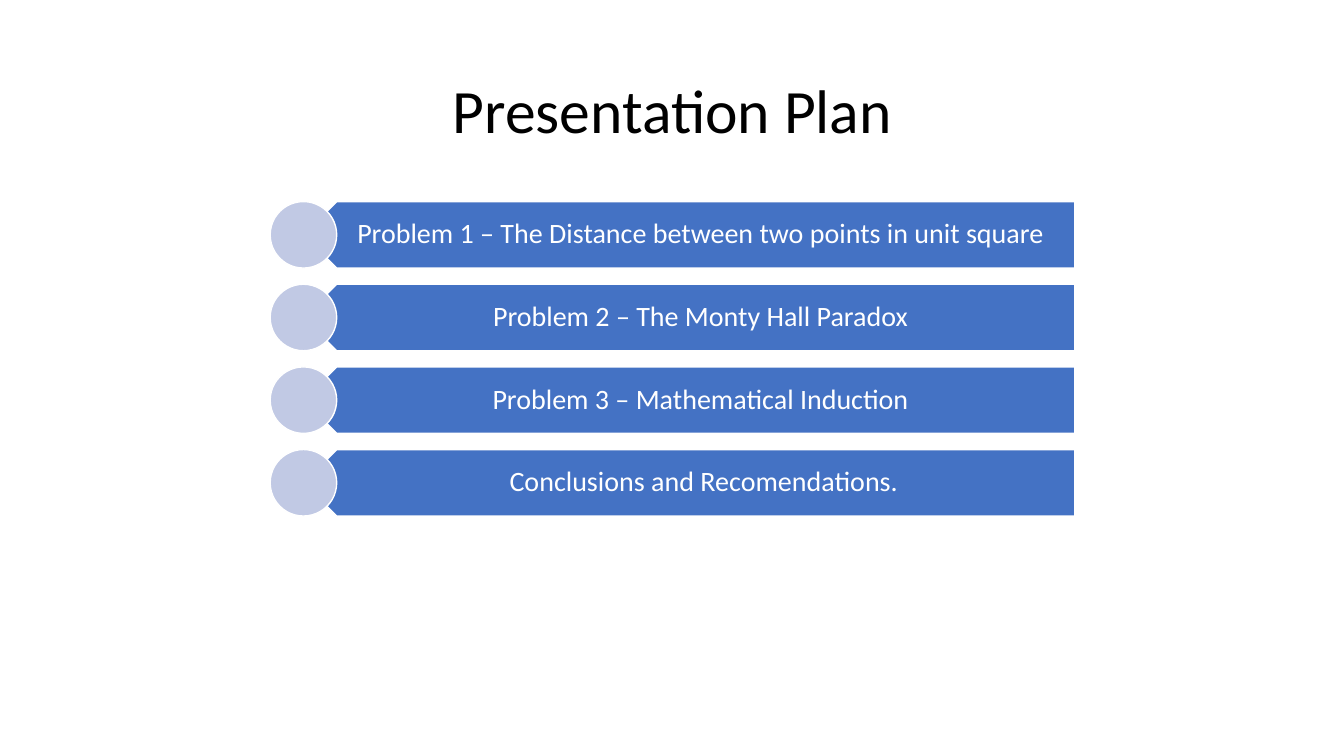
from pptx import Presentation
from pptx.dml.color import RGBColor
from pptx.enum.shapes import MSO_SHAPE as Shape
from pptx.enum.text import MSO_ANCHOR as Anchor, PP_ALIGN as Align
from pptx.util import Inches, Pt

COLORS = {"bar": "4472C4", "dot": "C1C9E4", "white": "FFFFFF", "title": "000000"}
FONT = "Calibri"
TOPICS = [
    "Problem 1 – The Distance between two points in unit square ",
    "Problem 2 – The Monty Hall Paradox ",
    "Problem 3 – Mathematical Induction ",
    "Conclusions and Recomendations.",
]

# Row grid, in inches
FIRST_TOP, ROW_STEP, ROW_HEIGHT = 2.0, 0.82, 0.66
DOT_LEFT, BAR_LEFT, LABEL_LEFT, RIGHT = 2.68, 3.01, 3.17, 10.66


def color(name):
    return RGBColor.from_string(COLORS[name])


def write(frame, text, size, color_name):
    frame.word_wrap = True
    frame.vertical_anchor = Anchor.MIDDLE
    para = frame.paragraphs[0]
    para.text = text
    para.alignment = Align.CENTER
    para.line_spacing = 0.9
    para.font.name = FONT
    para.font.size = Pt(size)
    para.font.color.rgb = color(color_name)


def add_title(page, text):
    title = page.shapes.title
    title.left, title.top = Inches(0.92), Inches(0.4)
    title.width, title.height = Inches(11.5), Inches(1.45)
    write(title.text_frame, text, 44, "title")


def add_outlined(page, kind, left, top, width, fill):
    shape = page.shapes.add_shape(
        kind, Inches(left), Inches(top), Inches(width), Inches(ROW_HEIGHT))
    shape.shadow.inherit = False
    shape.fill.solid()
    shape.fill.fore_color.rgb = color(fill)
    shape.line.color.rgb = color("white")
    shape.line.width = Pt(1)
    return shape


def add_label(page, text, top):
    box = page.shapes.add_textbox(
        Inches(LABEL_LEFT), Inches(top), Inches(RIGHT - LABEL_LEFT), Inches(ROW_HEIGHT))
    frame = box.text_frame
    frame.margin_left, frame.margin_right = Inches(0.29), Inches(0.16)
    frame.margin_top = frame.margin_bottom = Inches(0.08)
    write(frame, text, 20, "white")


def add_topic(page, text, row):
    top = FIRST_TOP + row * ROW_STEP
    # The pentagon is turned so that it points at the dot
    bar = add_outlined(page, Shape.PENTAGON, BAR_LEFT, top, RIGHT - BAR_LEFT, "bar")
    bar.rotation = 180
    add_label(page, text, top)
    add_outlined(page, Shape.OVAL, DOT_LEFT, top, ROW_HEIGHT, "dot")


def main():
    deck = Presentation()
    deck.slide_width, deck.slide_height = Inches(13.33), Inches(7.5)
    page = deck.slides.add_slide(deck.slide_layouts[5])
    add_title(page, "Presentation Plan")
    for row, topic in enumerate(TOPICS):
        add_topic(page, topic, row)
    deck.save("out.pptx")


if __name__ == "__main__":
    main()
